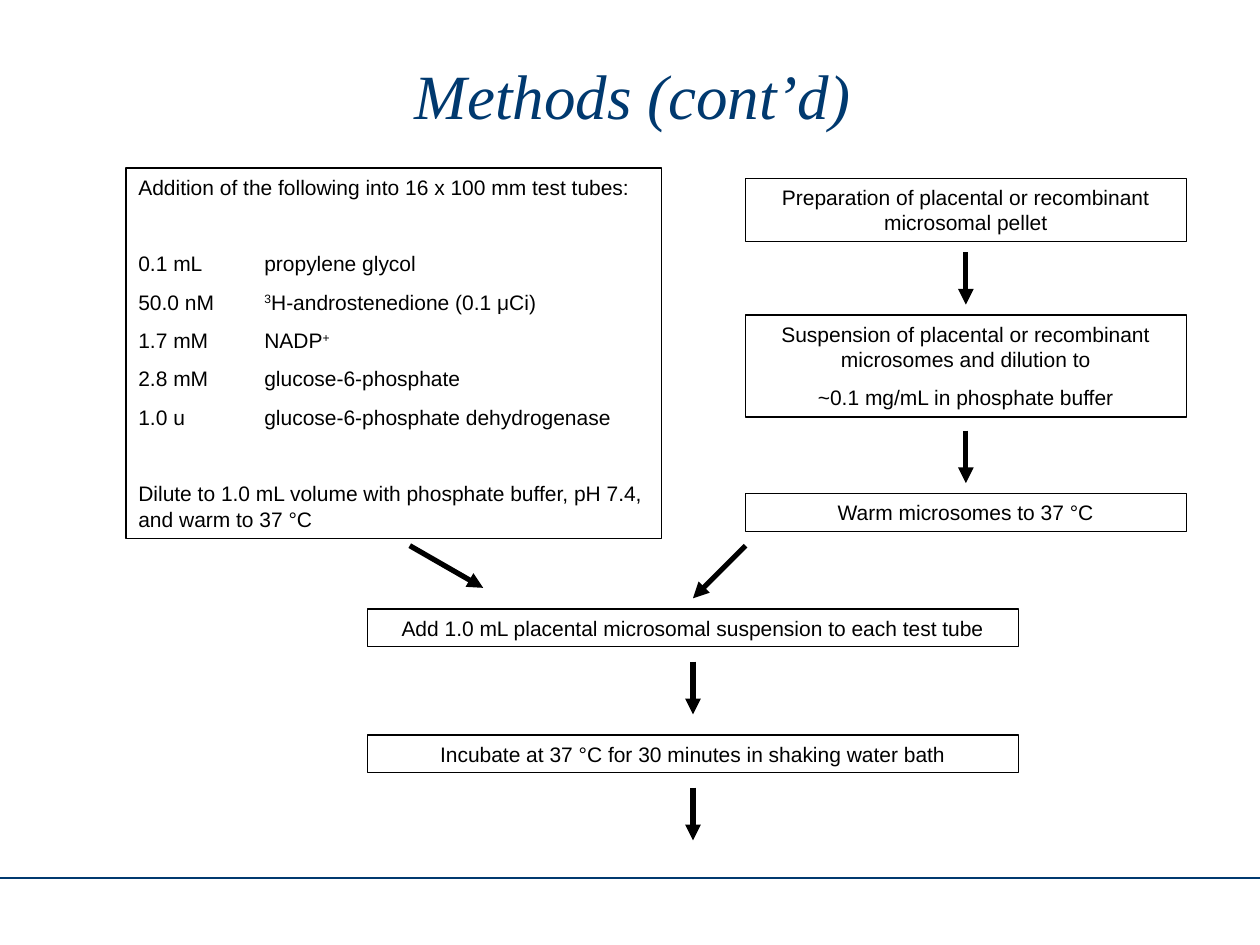
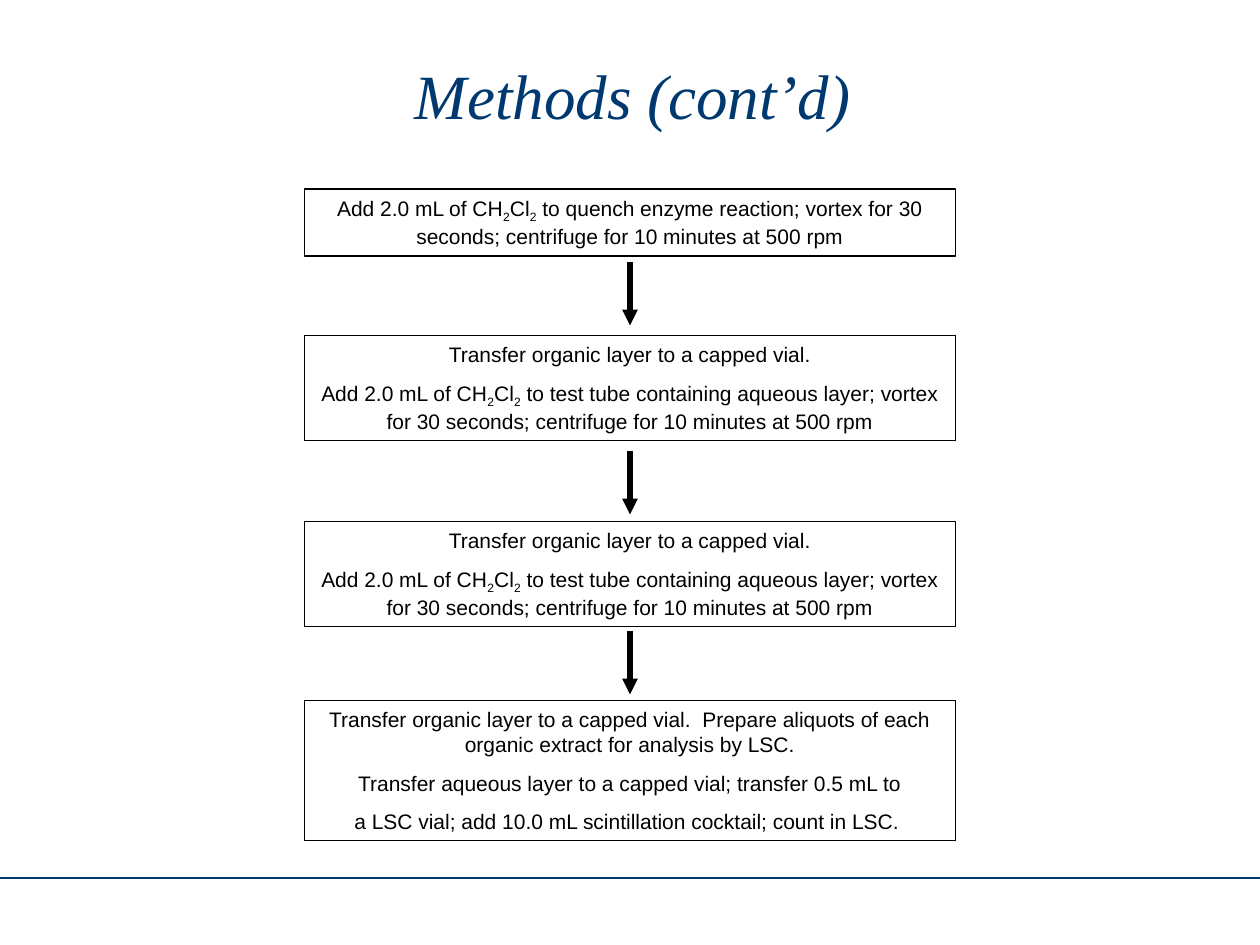
"""Builds two slides that chart the steps of a laboratory method."""
from dataclasses import dataclass

from lxml import etree
from pptx import Presentation
from pptx.dml.color import RGBColor
from pptx.enum.shapes import MSO_CONNECTOR, MSO_SHAPE
from pptx.enum.text import MSO_ANCHOR, MSO_AUTO_SIZE, PP_ALIGN
from pptx.oxml.ns import qn
from pptx.presentation import Presentation as Deck
from pptx.shapes.connector import Connector
from pptx.slide import Slide
from pptx.text.text import _Paragraph as Paragraph
from pptx.util import Cm, Pt

STRAIGHT = MSO_CONNECTOR.STRAIGHT
RECTANGLE = MSO_SHAPE.RECTANGLE
TOP, MIDDLE = MSO_ANCHOR.TOP, MSO_ANCHOR.MIDDLE
GROW = MSO_AUTO_SIZE.SHAPE_TO_FIT_TEXT
LEFT, CENTER = PP_ALIGN.LEFT, PP_ALIGN.CENTER

COLORS = {"ink": "000000", "navy": "00396F"}
BODY_FONT, TITLE_FONT = "Arial", "Times New Roman"
BASELINES = {"^": "30000", "_": "-25000"}
TITLE = "Methods (cont’d) "
SLIDE_WIDTH, SLIDE_HEIGHT = 25.4, 19.05
RULE_TOP = 17.7
TAB_STOP = 2.54
PARAGRAPH_GAP, SECTION_GAP = 7.5, 29.4
STEP_WIDTH, SIDE_WIDTH = 13.12, 8.89
ONE_LINE = 0.76


@dataclass(frozen=True)
class Step:
    """A framed step; lengths in cm, |^x| raises and |_x| lowers text."""
    center: float
    top: float
    width: float
    height: float
    lines: tuple[str, ...]
    align: PP_ALIGN = CENTER
    section_starts: tuple[int, ...] = ()


@dataclass(frozen=True)
class Arrow:
    """An arrow from a start point, by its run across and down in cm."""
    x: float
    y: float
    down: float = 1.06
    across: float = 0


TUBE_CENTER, SIDE_CENTER, MERGE_CENTER, QUENCH_CENTER = 7.94, 19.47, 13.97, 12.7

MIXING_STEPS = (
    Step(TUBE_CENTER, 3.39, 10.8, 7.47, (
        "Addition of the following into 16 x 100 mm test tubes:",
        "0.1 mL\tpropylene glycol",
        "50.0 nM\t|^3|H-androstenedione (0.1 μCi)",
        "1.7 mM\tNADP|^+|",
        "2.8 mM\tglucose-6-phosphate",
        "1.0 u\tglucose-6-phosphate dehydrogenase",
        "Dilute to 1.0 mL volume with phosphate buffer, pH 7.4, and warm to 37 °C",
    ), LEFT, (1, 6)),
    Step(SIDE_CENTER, 3.6, SIDE_WIDTH, 1.27, (
        "Preparation of placental or recombinant microsomal pellet",)),
    Step(SIDE_CENTER, 6.35, SIDE_WIDTH, 2.06, (
        "Suspension of placental or recombinant microsomes and dilution to",
        "~0.1 mg/mL in phosphate buffer")),
    Step(SIDE_CENTER, 9.95, SIDE_WIDTH, ONE_LINE, ("Warm microsomes to 37 °C",)),
    Step(MERGE_CENTER, 12.28, STEP_WIDTH, ONE_LINE, (
        "Add 1.0 mL placental microsomal suspension to each test tube",)),
    Step(MERGE_CENTER, 14.82, STEP_WIDTH, ONE_LINE, (
        "Incubate at 37 °C for 30 minutes in shaking water bath",)),
)
MIXING_ARROWS = (
    Arrow(SIDE_CENTER, 5.08),
    Arrow(SIDE_CENTER, 8.68),
    Arrow(MERGE_CENTER, 13.34),
    Arrow(15.03, 11, across=-1.06),
    Arrow(8.26, 11, 0.85, 1.48),
    Arrow(MERGE_CENTER, 15.88),
)

SPIN = "vortex for 30 seconds; centrifuge for 10 minutes at 500 rpm"
SOLVENT = "Add 2.0 mL of CH|_2|Cl|_2| to"
EXTRACTION = (
    "Transfer organic layer to a capped vial.",
    f"{SOLVENT} test tube containing aqueous layer; {SPIN}",
)
EXTRACTION_STEPS = (
    Step(QUENCH_CENTER, 3.81, STEP_WIDTH, 1.35, (
        f"{SOLVENT} quench enzyme reaction; {SPIN}",)),
    Step(QUENCH_CENTER, 6.77, STEP_WIDTH, 2.11, EXTRACTION),
    Step(QUENCH_CENTER, 10.52, STEP_WIDTH, 2.11, EXTRACTION),
    Step(QUENCH_CENTER, 14.12, STEP_WIDTH, 2.82, (
        "Transfer organic layer to a capped vial.  Prepare aliquots of each "
        "organic extract for analysis by LSC.",
        "Transfer aqueous layer to a capped vial; transfer 0.5 mL to",
        "a LSC vial; add 10.0 mL scintillation cocktail; count in LSC. ")),
)
EXTRACTION_ARROWS = tuple(Arrow(QUENCH_CENTER, y, 1.27) for y in (5.29, 9.1, 12.73))


def color(name: str) -> RGBColor:
    """Return a named colour."""
    return RGBColor.from_string(COLORS[name])


def add_line(page: Slide, start: tuple[float, float], end: tuple[float, float],
             ink: str, weight: float) -> Connector:
    """Draw a straight line without a shadow."""
    line = page.shapes.add_connector(STRAIGHT, *map(Cm, start + end))
    line.line.color.rgb = color(ink)
    line.line.width = Pt(weight)
    etree.SubElement(line._element.spPr, qn("a:effectLst"))
    return line


def add_arrow(page: Slide, arrow: Arrow) -> None:
    """Draw a thick line that ends in a triangle."""
    end = (arrow.x + arrow.across, arrow.y + arrow.down)
    line = add_line(page, (arrow.x, arrow.y), end, "ink", 3)
    etree.SubElement(line.line._get_or_add_ln(), qn("a:tailEnd"), type="triangle")


def add_tab_stop(para: Paragraph) -> None:
    """Give a paragraph its left tab stop."""
    stops = etree.SubElement(para._p.get_or_add_pPr(), qn("a:tabLst"))
    etree.SubElement(stops, qn("a:tab"), pos=str(Cm(TAB_STOP)), algn="l")


def write_spans(para: Paragraph, text: str) -> None:
    """Write text into a paragraph, shifting the marked parts."""
    for index, part in enumerate(text.split("|")):
        if not part:
            continue
        shifted = index % 2 == 1
        span = para.add_run()
        span.text = part[1:] if shifted else part
        span.font.name = BODY_FONT
        span.font.size = Pt(12)
        span.font.color.rgb = color("ink")
        if shifted:
            span._r.get_or_add_rPr().set("baseline", BASELINES[part[0]])


def add_step(page: Slide, step: Step) -> None:
    """Draw a framed step with its paragraphs."""
    box = page.shapes.add_shape(
        RECTANGLE, Cm(step.center - step.width / 2), Cm(step.top),
        Cm(step.width), Cm(step.height))
    box.shadow.inherit = False
    box.fill.background()
    box.line.color.rgb = color("ink")
    box.line.width = Pt(0.75)
    frame = box.text_frame
    frame.word_wrap = True
    frame.auto_size = GROW
    frame.vertical_anchor = TOP
    for index, text in enumerate(step.lines):
        para = frame.add_paragraph() if index else frame.paragraphs[0]
        if "\t" in text:
            add_tab_stop(para)
        para.alignment = step.align
        if index:
            starts_section = index in step.section_starts
            para.space_before = Pt(SECTION_GAP if starts_section else PARAGRAPH_GAP)
        write_spans(para, text)


def add_title(page: Slide) -> None:
    """Place and format the slide title."""
    title = page.shapes.title
    title.left, title.top = Cm(2.12), Cm(0.85)
    title.width, title.height = Cm(21.59), Cm(2.12)
    frame = title.text_frame
    frame.text = TITLE
    frame.vertical_anchor = MIDDLE
    para = frame.paragraphs[0]
    para.alignment = CENTER
    font = para.runs[0].font
    font.name = TITLE_FONT
    font.size = Pt(36)
    font.italic = True
    font.color.rgb = color("navy")


def add_page(deck: Deck, steps: tuple[Step, ...], arrows: tuple[Arrow, ...]) -> None:
    """Add a slide with the shared title and rule, its steps and its arrows."""
    page = deck.slides.add_slide(deck.slide_layouts[5])
    add_title(page)
    add_line(page, (0, RULE_TOP), (SLIDE_WIDTH, RULE_TOP), "navy", 0.75)
    for step in steps:
        add_step(page, step)
    for arrow in arrows:
        add_arrow(page, arrow)


def main() -> None:
    """Build the deck and save it."""
    deck = Presentation()
    deck.slide_width, deck.slide_height = Cm(SLIDE_WIDTH), Cm(SLIDE_HEIGHT)
    add_page(deck, MIXING_STEPS, MIXING_ARROWS)
    add_page(deck, EXTRACTION_STEPS, EXTRACTION_ARROWS)
    deck.save("out.pptx")


if __name__ == "__main__":
    main()
